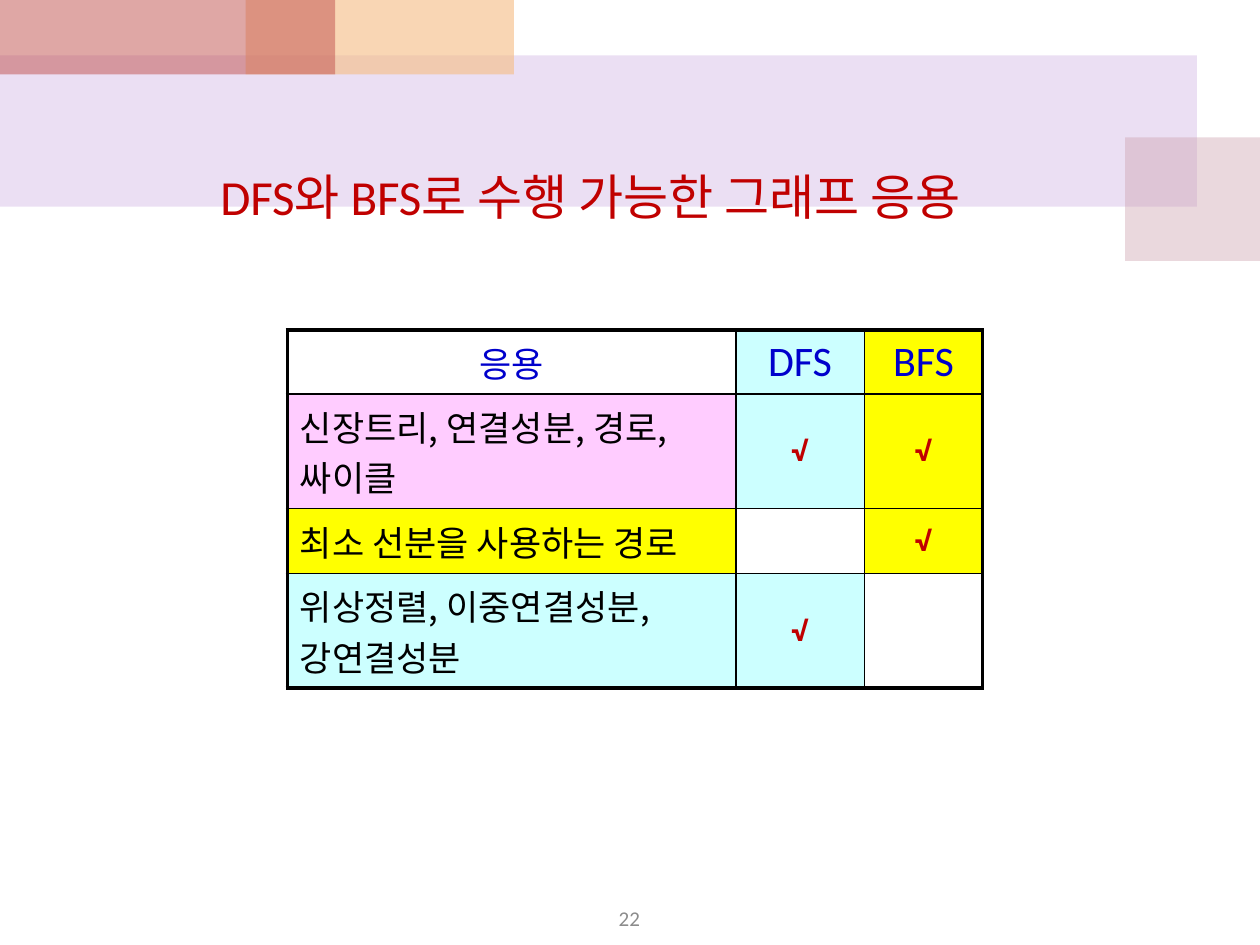
import pptx
import pptx.dml.color
import pptx.enum.shapes
import pptx.enum.text
import pptx.oxml.ns
import pptx.util
from lxml import etree

Inches = pptx.util.Inches
Pt = pptx.util.Pt
qn = pptx.oxml.ns.qn
CENTER = pptx.enum.text.PP_ALIGN.CENTER
LEFT = pptx.enum.text.PP_ALIGN.LEFT
MIDDLE = pptx.enum.text.MSO_ANCHOR.MIDDLE


def rgb(value):
    return pptx.dml.color.RGBColor.from_string(value)


class SlideBuilder:
    korean = "Noto Sans CJK KR"
    latin = "Calibri"
    symbol = "Roboto"
    blue, red, black, gray = "0000CC", "C00000", "000000", "8C8C8C"
    thin, thick = 1, 2.25

    def __init__(self, slide):
        self.s = slide

    def band(self, x, y, w, h, color, opacity):
        sp = self.s.shapes.add_shape(
            pptx.enum.shapes.MSO_SHAPE.RECTANGLE,
            Inches(x), Inches(y), Inches(w), Inches(h))
        sp.shadow.inherit = False
        sp.fill.solid()
        sp.fill.fore_color.rgb = rgb(color)
        sp.line.fill.background()
        clr = sp._element.spPr.find(".//" + qn("a:srgbClr"))
        etree.SubElement(clr, qn("a:alpha"), val=str(opacity * 1000))

    def paragraph(self, tf, text, size, color, font, align=LEFT, bold=False):
        p = tf.paragraphs[0]
        p.text = text
        p.alignment = align
        for r in p.runs:
            r.font.size = Pt(size)
            r.font.bold = bold
            r.font.name = font
            r.font.color.rgb = rgb(color)
            rPr = r._r.get_or_add_rPr()
            etree.SubElement(rPr, qn("a:ea"), typeface=self.korean)
        return p

    def text(self, x, y, w, h, text, size, color, align=LEFT, wrap=True, anchor=None):
        sp = self.s.shapes.add_textbox(Inches(x), Inches(y), Inches(w), Inches(h))
        tf = sp.text_frame
        tf.word_wrap = wrap
        tf.vertical_anchor = anchor
        self.paragraph(tf, text, size, color, self.latin, align)

    def borders(self, cell, widths):
        tcPr = cell._tc.get_or_add_tcPr()
        for side, width in zip("LRTB", widths):
            ln = etree.SubElement(tcPr, qn("a:ln" + side), w=str(int(Pt(width))))
            fill = etree.SubElement(ln, qn("a:solidFill"))
            etree.SubElement(fill, qn("a:srgbClr"), val=self.black)

    def cell(self, cell, text, fill, style):
        cell.vertical_anchor = MIDDLE
        if fill:
            cell.fill.solid()
            cell.fill.fore_color.rgb = rgb(fill)
        else:
            cell.fill.background()
        if text:
            p = self.paragraph(cell.text_frame, text, *style)
            before = etree.Element(qn("a:spcBef"))
            etree.SubElement(before, qn("a:spcPct"), val="20000")
            p._p.get_or_add_pPr().insert(0, before)

    def table(self, x, y, w, h, widths, heights, rows):
        table = self.s.shapes.add_table(
            len(rows), len(widths), Inches(x), Inches(y), Inches(w), Inches(h)).table
        table.first_row = table.horz_banding = False
        for column, width in zip(table.columns, widths):
            column.width = Inches(width)
        for row, height in zip(table.rows, heights):
            row.height = Inches(height)
        last_row, last_col = len(rows) - 1, len(widths) - 1
        for i, row in enumerate(rows):
            for j, (text, fill) in enumerate(row):
                cell = table.cell(i, j)
                edges = (j == 0, j == last_col, i == 0, i == last_row)
                self.borders(cell, [self.thick if edge else self.thin for edge in edges])
                if i == 0 and j == 0:
                    style = (20, self.blue, self.korean, CENTER)
                elif i == 0:
                    style = (24, self.blue, self.latin, CENTER)
                elif j == 0:
                    style = (20, self.black, self.korean)
                else:
                    style = (18, self.red, self.symbol, CENTER, True)
                self.cell(cell, text, fill, style)


def main():
    prs = pptx.Presentation()
    prs.slide_width, prs.slide_height = Inches(10), Inches(7.5)
    b = SlideBuilder(prs.slides.add_slide(prs.slide_layouts[6]))

    b.band(0, 0.44, 9.5, 1.2, "BF98D8", 30)
    b.band(8.93, 1.09, 1.07, 0.98, "CC9EAC", 40)
    b.band(1.95, 0, 2.13, 0.59, "F5BC83", 60)
    b.band(0, 0, 2.66, 0.59, "C0504D", 50)

    cyan, yellow, pink = "CCFFFF", "FFFF00", "FFCCFF"
    empty = ("", None)
    dfs, bfs = ("√", cyan), ("√", yellow)
    rows = [
        [("응용", None), ("DFS", cyan), ("BFS", yellow)],
        [("신장트리, 연결성분, 경로, 싸이클", pink), dfs, bfs],
        [("최소 선분을 사용하는 경로", yellow), empty, bfs],
        [("위상정렬, 이중연결성분, 강연결성분", cyan), dfs, empty],
    ]
    b.table(2.28, 2.62, 5.53, 2.56, [3.56, 1.02, 0.94], [0.5, 0.77, 0.52, 0.52], rows)

    b.text(1.65, 1.27, 6.78, 0.57, "DFS와 BFS로 수행 가능한 그래프 응용", 28, b.red, wrap=False)
    b.text(3.83, 7.15, 2.33, 0.27, "22", 12, b.gray, CENTER, anchor=MIDDLE)
    prs.save("out.pptx")


if __name__ == "__main__":
    main()
